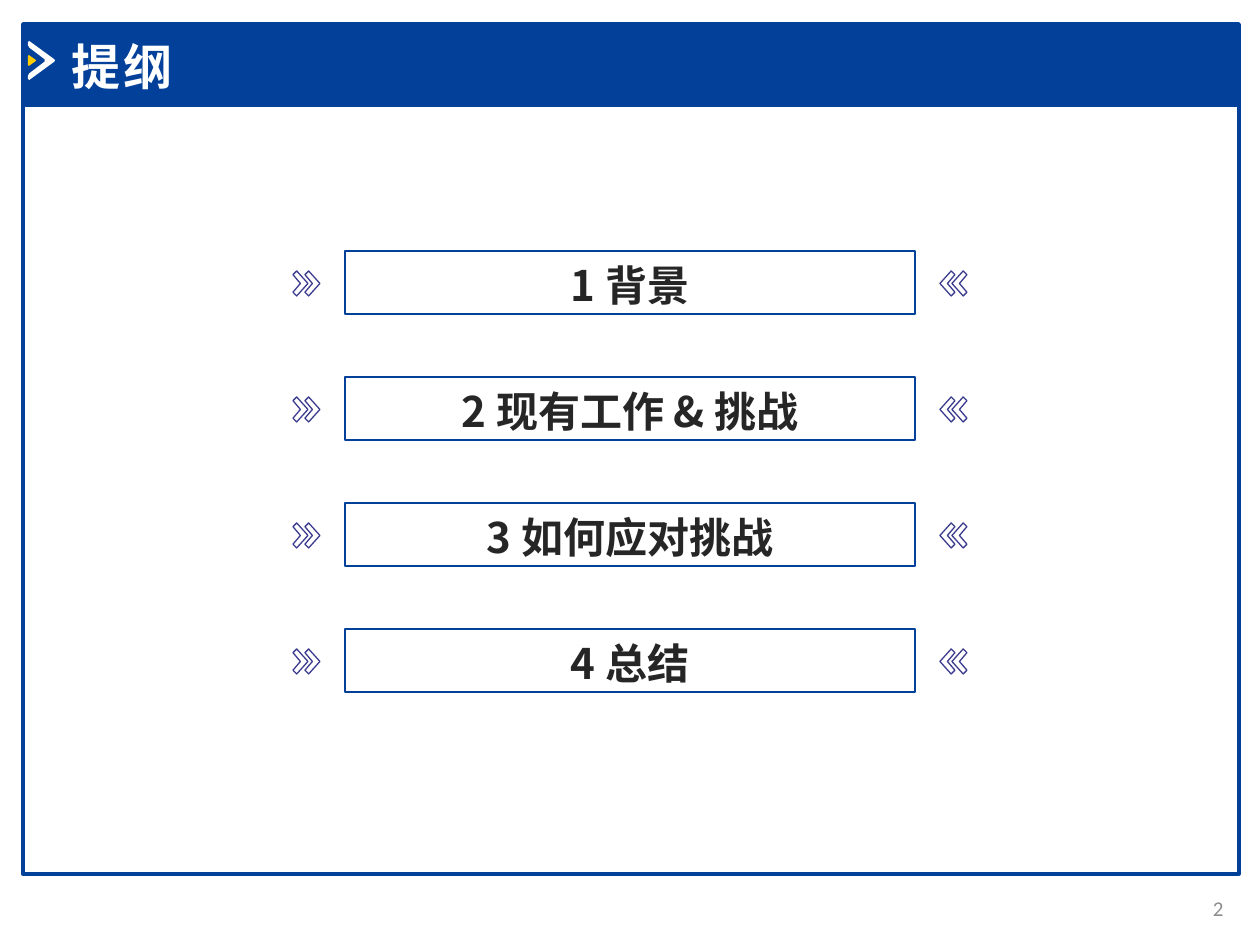
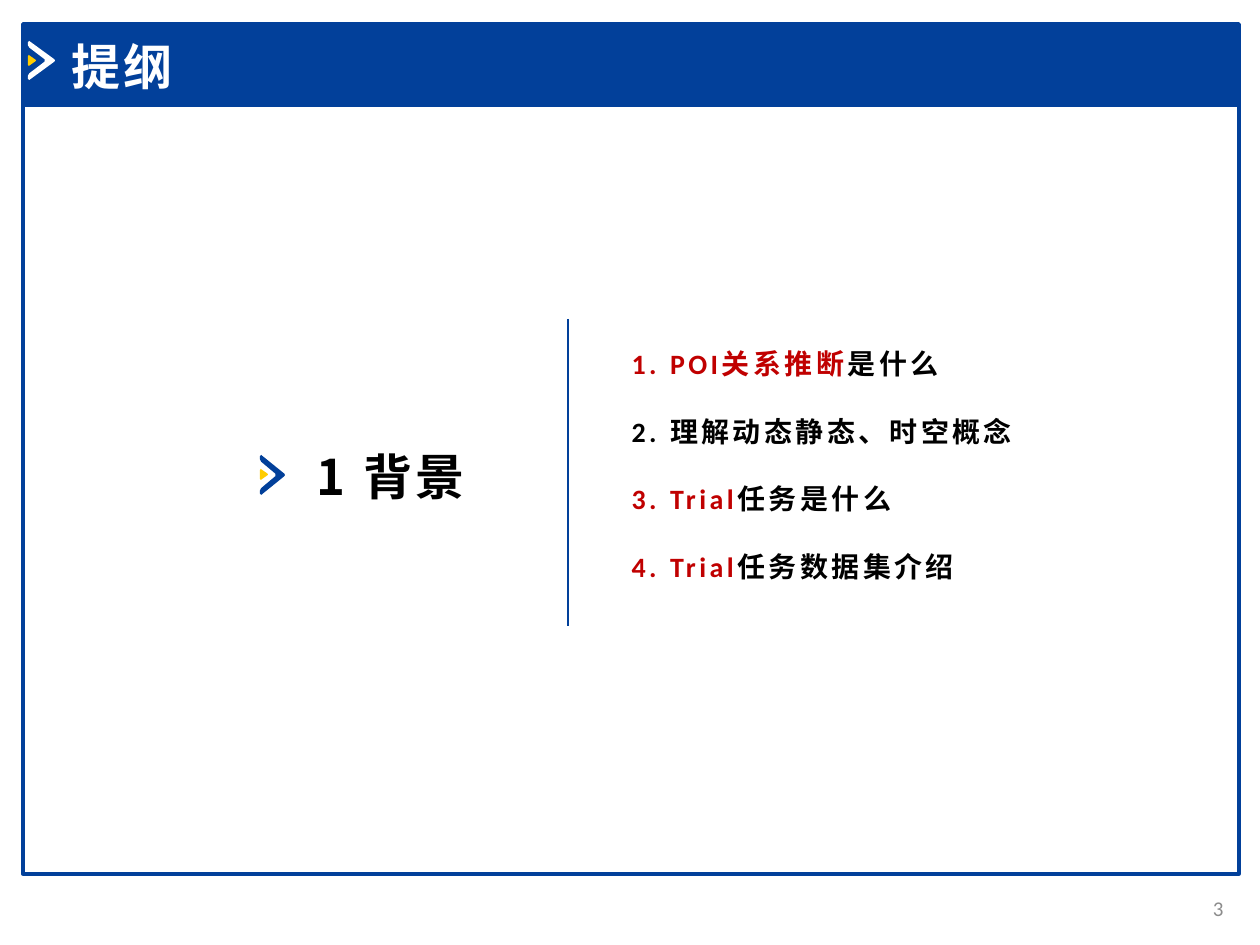
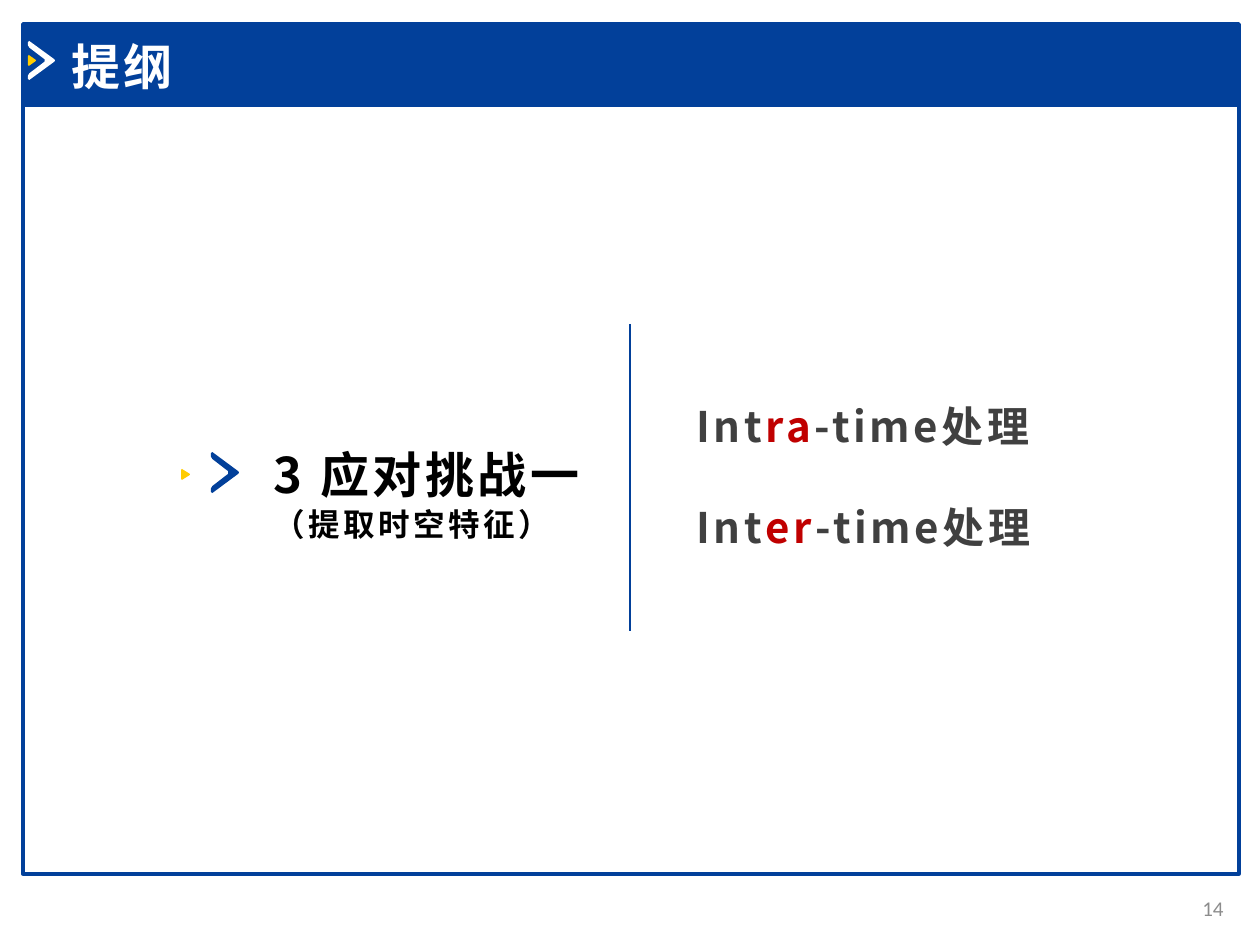
from lxml import etree
from pptx import Presentation
from pptx import util as u
from pptx.dml.color import RGBColor
from pptx.enum import shapes, text
from pptx.oxml import ns

PX = u.Inches(1) / 126
BLUE, YELLOW, INDIGO, RED = "02409A", "FFCC00", "3C3C8E", "C00000"
WHITE, BLACK, DARK, SLATE, GREY = "FFFFFF", "000000", "262626", "404040", "8C8C8C"
LATIN, CJK = "Calibri", "Noto Sans CJK SC"

# Outlines on a unit square
ARROW = [(.05, 0), (0, .03), (0, .11), (.05, .17), (.62, .47), (.62, .53), (.05, .83),
         (0, .89), (0, .97), (.05, 1), (.98, .53), (1, .5), (.98, .47)]
DART = [(.1, 0), (0, .1), (0, .9), (.1, 1), (.95, .57), (1, .5), (.95, .43)]
CHEVRON = [(.25, 0), (0, .15), (.5, .5), (0, .85), (.25, 1), (1, .5)]


def px(n):
    return u.Emu(round(n * PX))


def rgb(color):
    return RGBColor.from_string(color)


def place(shape, box):
    for side, length in zip(("left", "top", "width", "height"), box):
        setattr(shape, side, px(length))


def paint(shape, fill=None, line=None, width=1):
    shape.shadow.inherit = False
    if fill:
        shape.fill.solid()
        shape.fill.fore_color.rgb = rgb(fill)
    else:
        shape.fill.background()
    if line:
        shape.line.color.rgb = rgb(line)
        shape.line.width = u.Pt(width)
    else:
        shape.line.fill.background()


def rectangle(slide, box, **style):
    panel = slide.shapes.add_shape(shapes.MSO_SHAPE.RECTANGLE, *map(px, box))
    paint(panel, **style)
    return panel


def outline(slide, points, box, **style):
    left, top, width, height = box
    corners = [(px(left + x * width), px(top + y * height)) for x, y in points]
    builder = slide.shapes.build_freeform(*corners[0])
    builder.add_line_segments(corners[1:], close=True)
    paint(builder.convert_to_shape(), **style)


def write(shape, lines, size, font=CJK, spacing=200, align="LEFT", anchor="TOP", gap=0):
    """Each line is a list of (words, colour) or (words, colour, size)."""
    frame = shape.text_frame
    settings = {"word_wrap": True, "auto_size": text.MSO_AUTO_SIZE.NONE,
                "vertical_anchor": text.MSO_ANCHOR[anchor],
                "margin_left": u.Inches(.1), "margin_right": u.Inches(.1),
                "margin_top": u.Inches(.05), "margin_bottom": u.Inches(.05)}
    for name, value in settings.items():
        setattr(frame, name, value)
    for i, line in enumerate(lines):
        paragraph = frame.add_paragraph() if i else frame.paragraphs[0]
        paragraph.alignment = text.PP_ALIGN[align]
        paragraph.space_before = u.Pt(gap if i else 0)
        for words, color, *own_size in line:
            run = paragraph.add_run()
            run.text = words
            points = own_size[0] if own_size else size
            paragraph.line_spacing = u.Pt(points * 1.25)
            run.font.size = u.Pt(points)
            run.font.bold = color != GREY
            run.font.color.rgb = rgb(color)
            run.font.name = font
            properties = run._r.get_or_add_rPr()
            properties.set("spc", str(spacing))
            etree.SubElement(properties, ns.qn("a:ea"), typeface=CJK)


def text_box(slide, box, lines, size, **style):
    write(slide.shapes.add_textbox(*map(px, box)), lines, size, **style)


def framed_slide(prs, layout, number):
    """Adds a slide with the blue frame, the title band and the page number."""
    slide = prs.slides.add_slide(prs.slide_layouts.get_by_name(layout))
    rectangle(slide, (23, 105, 1216, 769), line=BLUE, width=2)
    rectangle(slide, (23, 24, 1216, 81), fill=BLUE, line=BLUE, width=2)
    outline(slide, ARROW, (28, 41, 27, 39), fill=WHITE)
    outline(slide, DART, (28, 55, 8, 11), fill=YELLOW)
    text_box(slide, (1162, 883, 74, 50), [[(number, GREY)]], 12, font=LATIN,
             spacing=0, align="RIGHT", anchor="MIDDLE")
    title = slide.shapes.title
    place(title, (59, 28, 449, 72))
    write(title, [[("提纲", WHITE)]], 28, font=LATIN)
    slide.shapes.element.append(title.element)  # in front of the band
    return slide


def agenda_row(slide, box, topic):
    left, top, width, height = box
    entry = rectangle(slide, box, line=BLUE, width=1.5)
    write(entry, [[(topic, DARK)]], 24, spacing=0, align="CENTER")
    mirrored = [(1 - x, y) for x, y in CHEVRON]
    for offset in (52, 40):
        for points, x in ((CHEVRON, left - offset), (mirrored, left + width + offset - 15)):
            outline(slide, points, (x, top + 20, 15, 25), line=INDIGO, width=.75)


def agenda(prs, number, topics):
    slide = framed_slide(prs, "Title Only", number)
    for i, topic in enumerate(topics):
        agenda_row(slide, (345, 251 + 126 * i, 570, 63), topic)


def divider(slide, x, top, length=307):
    rule = slide.shapes.add_connector(shapes.MSO_CONNECTOR.STRAIGHT,
                                      px(x), px(top), px(x), px(top + length))
    rule.line.color.rgb = rgb(BLUE)
    rule.line.width = u.Pt(1.5)
    etree.SubElement(rule.element.spPr, ns.qn("a:effectLst"))


def point_list(slide, box, points, size, **style):
    body = slide.placeholders[1]
    place(body, box)
    write(body, points, size, **style)
    for paragraph in body.text_frame.paragraphs:
        properties = paragraph._p.get_or_add_pPr()
        properties.set("marL", "0")
        properties.set("indent", "0")
        etree.SubElement(properties, ns.qn("a:buNone"))


def section(prs, number, heading, heading_box, arrow_box, dart_box, rule_start):
    slide = framed_slide(prs, "Title and Content", number)
    text_box(slide, heading_box, heading, 28)
    outline(slide, ARROW, arrow_box, fill=BLUE)
    outline(slide, DART, dart_box, fill=YELLOW)
    divider(slide, *rule_start)
    return slide


def main():
    prs = Presentation()
    prs.slide_width, prs.slide_height = px(1260), px(945)

    agenda(prs, "2", ["1 背景", "2 现有工作 & 挑战", "3 如何应对挑战", "4 总结"])

    background = section(prs, "3", [[("1 背景", BLACK)]], (304, 438, 210, 72),
                         (260, 455, 25, 40), (260, 469, 8, 11), (568, 319))
    point_list(background, (619, 339, 490, 285), [
        [("1. POI关系推断", RED), ("是什么", BLACK)],
        [("2. 理解动态静态、时空概念", BLACK)],
        [("3. Trial", RED), ("任务是什么", BLACK)],
        [("4. Trial", RED), ("任务数据集介绍", BLACK)],
    ], 16, font=LATIN, gap=18.6)

    challenge = section(prs, "14", [[("3 应对挑战一", BLACK)], [("（提取时空特征）", BLACK, 18)]],
                        (261, 436, 360, 115), (211, 452, 28, 41), (181, 469, 9, 11), (630, 324))
    point_list(challenge, (684, 392, 390, 165), [
        [("Int", SLATE), (accent, RED), ("-time处理", SLATE)] for accent in ("ra", "er")
    ], 24, gap=27.7)

    prs.save("out.pptx")


if __name__ == "__main__":
    main()
